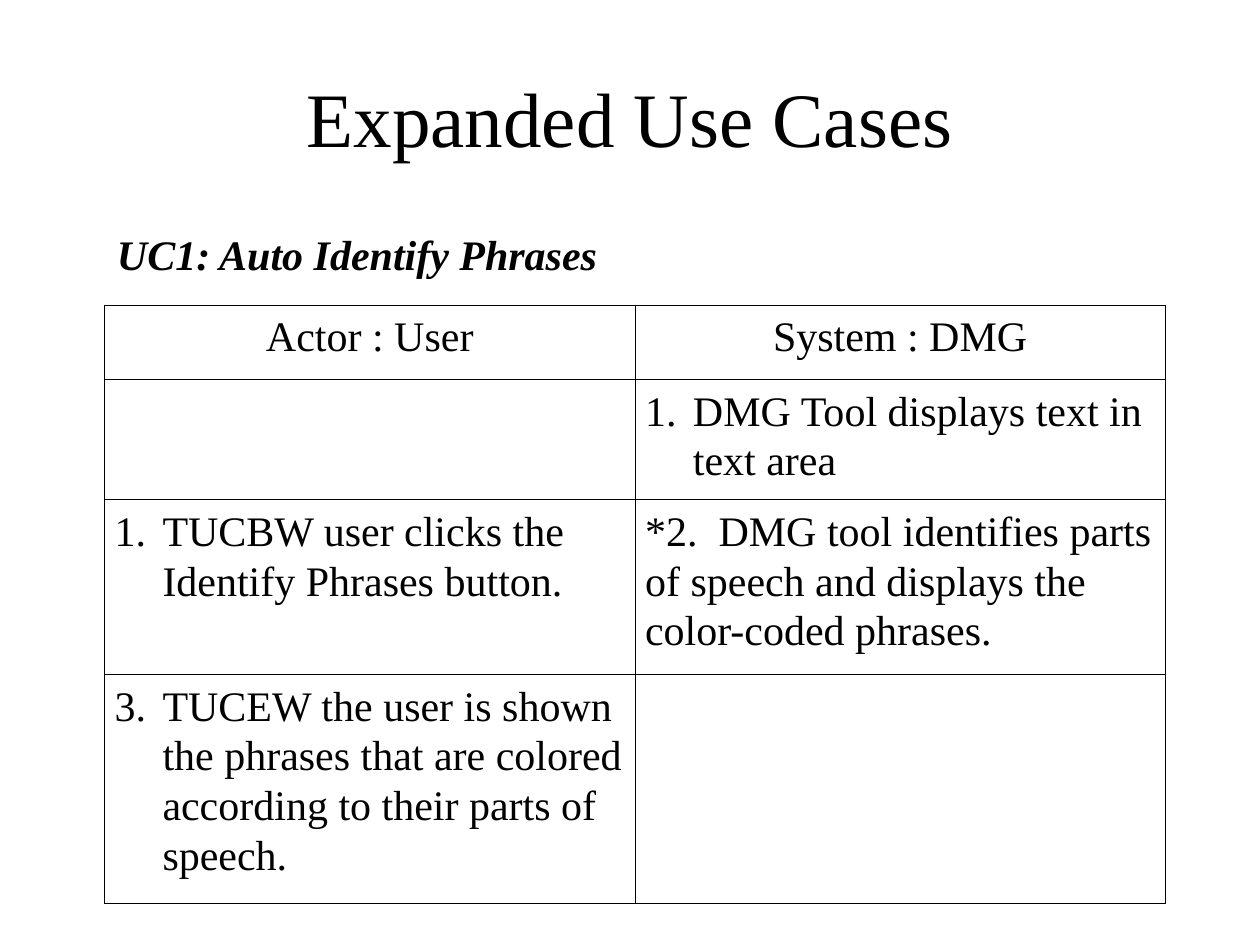
from dataclasses import dataclass

from lxml import etree
from pptx import Presentation
from pptx.dml.color import RGBColor
from pptx.enum.text import MSO_ANCHOR, PP_ALIGN
from pptx.oxml.ns import qn
from pptx.util import Inches, Pt

CENTER, LEFT = PP_ALIGN.CENTER, PP_ALIGN.LEFT
MIDDLE = MSO_ANCHOR.MIDDLE
SLIDE_WIDTH, SLIDE_HEIGHT = Inches(10), Inches(7.5)
BORDER_TAGS = ("a:lnL", "a:lnR", "a:lnT", "a:lnB")


@dataclass(frozen=True)
class Theme:
    """Colours, fonts, type sizes and line measures of the slide."""

    ink: str = "000000"
    paper: str = "FFFFFF"
    font: str = "Times New Roman"
    title_size: int = 44
    body_size: int = 24
    line_spacing: float = 1.07
    number_indent: float = 0.38
    border_width: float = 0.45


@dataclass(frozen=True)
class Step:
    """Words of one table cell, with an optional list number."""

    text: str = ""
    number: int = 0
    alignment: int = LEFT


THEME = Theme()
STEPS = (
    (Step("Actor : User", alignment=CENTER), Step("System : DMG", alignment=CENTER)),
    (Step(), Step("DMG Tool displays text in text area", 1)),
    (
        Step("TUCBW user clicks the Identify Phrases button.", 1),
        Step("*2.  DMG tool identifies parts of speech and displays the color-coded phrases."),
    ),
    (
        Step("TUCEW the user is shown the phrases that are colored according to their parts of speech.", 3),
        Step(),
    ),
)
ROW_HEIGHTS = (0.59, 0.89, 1.28, 1.82)


def slide_box(left, top, width, height):
    """Turn inches into a box of slide lengths."""
    return tuple(Inches(length) for length in (left, top, width, height))


def add_run(paragraph, text, size, emphasis=False):
    """Add one run in the theme's font and ink."""
    run = paragraph.add_run()
    run.text = text
    run.font.name = THEME.font
    run.font.size = Pt(size)
    run.font.bold = run.font.italic = emphasis
    run.font.color.rgb = RGBColor.from_string(THEME.ink)


def add_heading(slide, box, text, size, alignment, emphasis=False):
    """Place a one-line heading in the middle of its box."""
    frame = slide.shapes.add_textbox(*box).text_frame
    frame.word_wrap = True
    frame.vertical_anchor = MIDDLE
    paragraph = frame.paragraphs[0]
    paragraph.alignment = alignment
    add_run(paragraph, text, size, emphasis)


def number_paragraph(paragraph, number):
    """Give a paragraph a hanging automatic number."""
    properties = paragraph._p.get_or_add_pPr()
    indent = Inches(THEME.number_indent)
    properties.set("marL", str(indent))
    properties.set("indent", str(-indent))
    color = etree.SubElement(properties, qn("a:buClr"))
    etree.SubElement(color, qn("a:srgbClr"), val=THEME.ink)
    etree.SubElement(properties, qn("a:buFont"), typeface=THEME.font)
    etree.SubElement(properties, qn("a:buAutoNum"), type="arabicPeriod", startAt=str(number))


def outline_cell(cell):
    """Draw thin borders on all four sides of a cell."""
    properties = cell._tc.get_or_add_tcPr()
    for tag in BORDER_TAGS:
        line = etree.SubElement(properties, qn(tag), w=str(Pt(THEME.border_width)))
        fill = etree.SubElement(line, qn("a:solidFill"))
        etree.SubElement(fill, qn("a:srgbClr"), val=THEME.ink)


def fill_cell(cell, step):
    """Style a cell and write its step."""
    outline_cell(cell)
    cell.fill.background()
    cell.margin_left = cell.margin_right = Inches(0.08)
    cell.margin_top = cell.margin_bottom = Inches(0.05)
    if not step.text:
        return
    paragraph = cell.text_frame.paragraphs[0]
    if step.number:
        number_paragraph(paragraph, step.number)
    paragraph.alignment = step.alignment
    paragraph.line_spacing = THEME.line_spacing
    add_run(paragraph, step.text, THEME.body_size)


def add_step_table(slide, box, steps, row_heights):
    """Place the table of actor and system steps in equal columns."""
    table = slide.shapes.add_table(len(steps), len(steps[0]), *box).table
    table.first_row = table.horz_banding = False
    for row, height, row_steps in zip(table.rows, row_heights, steps):
        row.height = Inches(height)
        for cell, step in zip(row.cells, row_steps):
            fill_cell(cell, step)


def main():
    """Build and save the use case slide."""
    presentation = Presentation()
    presentation.slide_width, presentation.slide_height = SLIDE_WIDTH, SLIDE_HEIGHT
    slide = presentation.slides.add_slide(presentation.slide_layouts[6])
    background = slide.background.fill
    background.solid()
    background.fore_color.rgb = RGBColor.from_string(THEME.paper)
    add_heading(slide, slide_box(0.5, 0.3, 9, 1.25), "Expanded Use Cases", THEME.title_size, CENTER)
    add_step_table(slide, slide_box(0.83, 2.42, 8.42, sum(ROW_HEIGHTS)), STEPS, ROW_HEIGHTS)
    add_heading(
        slide, slide_box(0.83, 1.76, 7.75, 0.5), "UC1: Auto Identify Phrases", THEME.body_size, LEFT, True
    )
    presentation.save("out.pptx")


if __name__ == "__main__":
    main()
